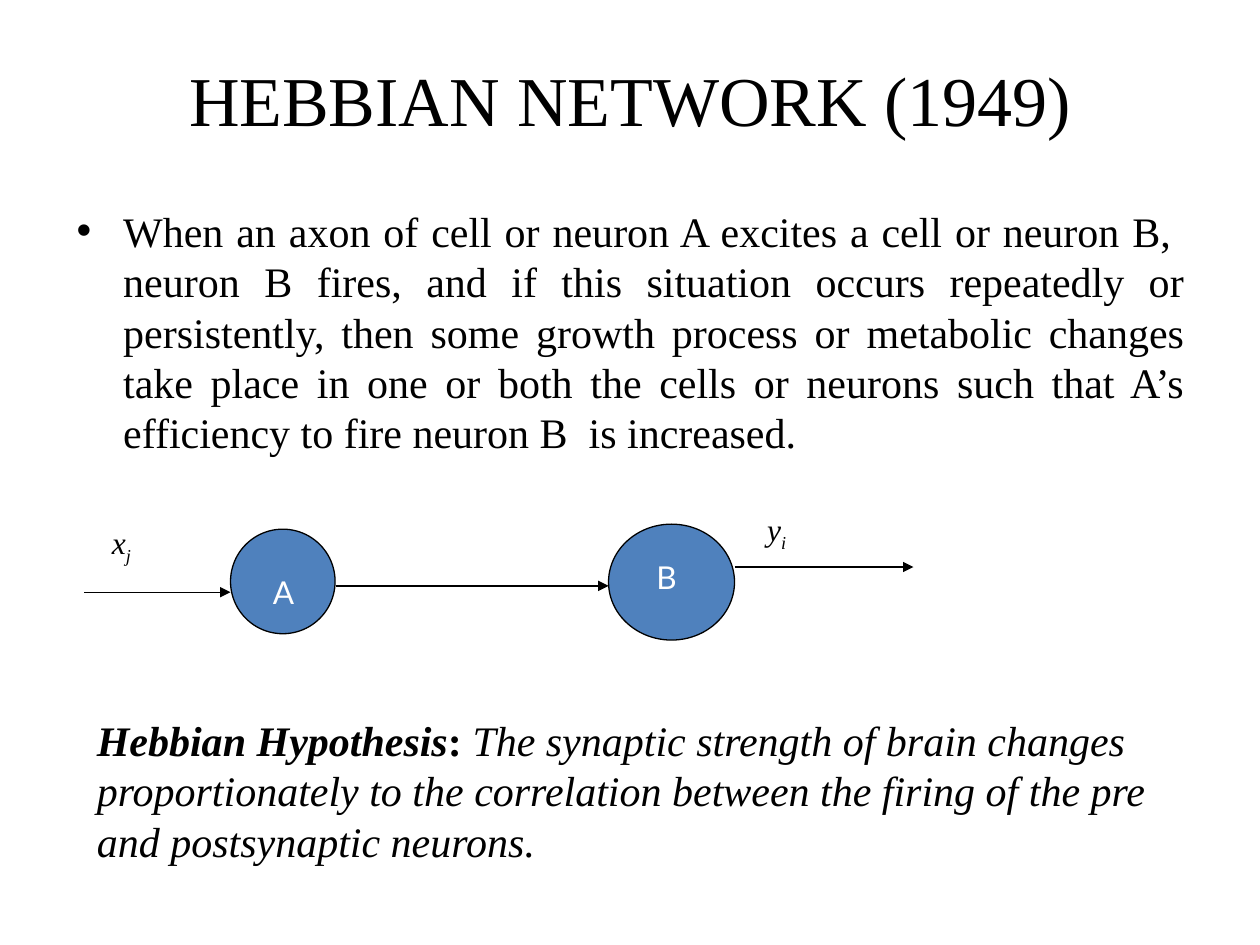
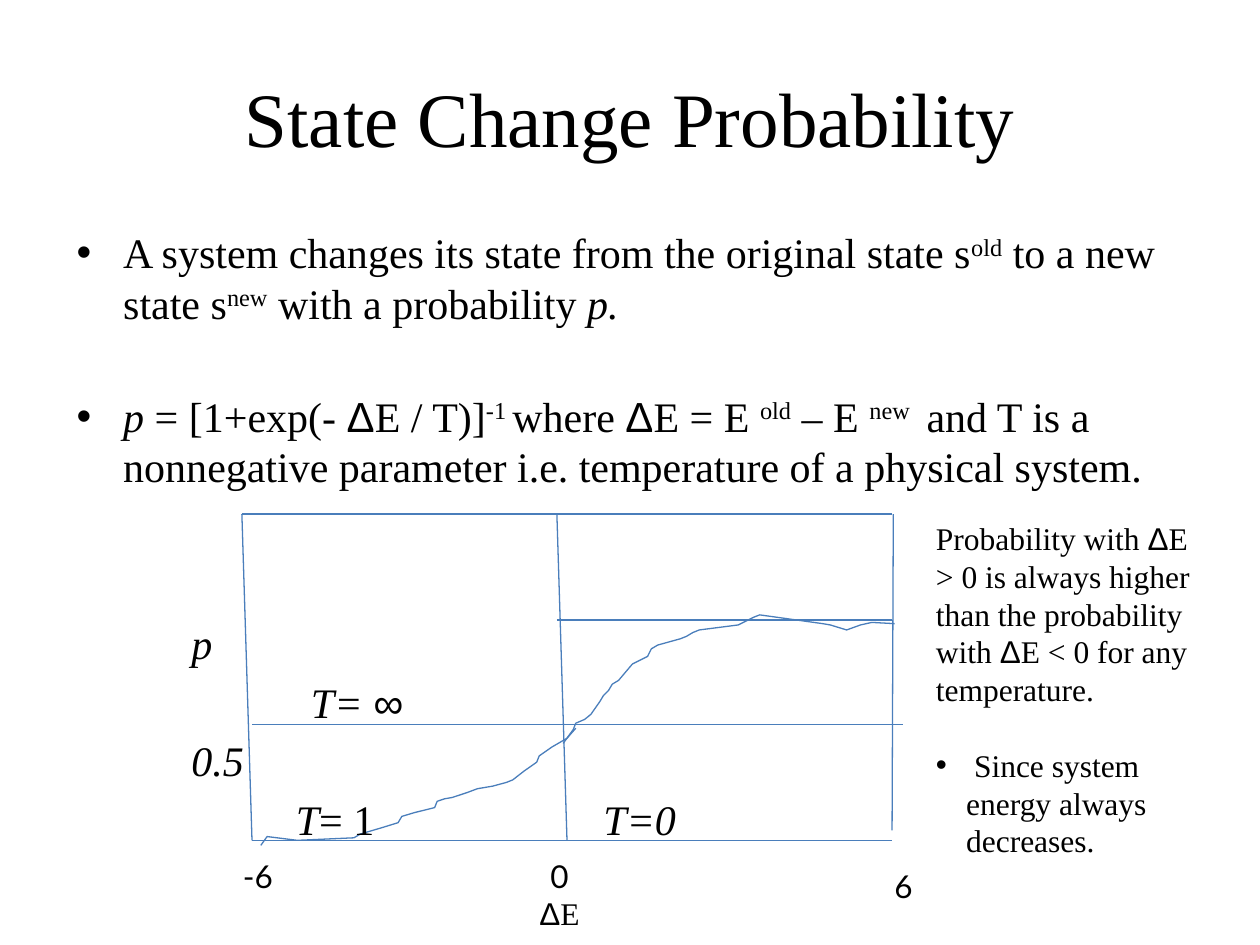
from lxml import etree
from pptx import Presentation
from pptx.dml.color import RGBColor
from pptx.enum.shapes import MSO_CONNECTOR, MSO_SHAPE
from pptx.enum.text import MSO_ANCHOR, MSO_AUTO_SIZE, PP_ALIGN
from pptx.oxml.ns import qn
from pptx.util import Pt

PX = 9144
TITLE_ONLY = 5
STRAIGHT = MSO_CONNECTOR.STRAIGHT
OVAL = MSO_SHAPE.OVAL
LEFT, CENTER, JUSTIFY = PP_ALIGN.LEFT, PP_ALIGN.CENTER, PP_ALIGN.JUSTIFY

COLORS = {"text": "000000", "neuron": "4F81BD", "graph": "4A7EBB", "white": "FFFFFF"}
SERIF, SANS, SYMBOL = "Times New Roman", "Lato", "Arial"
ITALIC = {"italic": True}
DELTA = ("Δ", {"name": SYMBOL})
BODY_BULLET = (38, -37)
SIDE_BULLET = (24, -24)

SIGMOID_LOWER = [
    (207, 671), (212, 664), (236, 667), (281, 665), (286, 662), (303, 657),
    (316, 653), (319, 648), (329, 645), (345, 641), (347, 636), (353, 634),
    (359, 633), (371, 629), (379, 626), (391, 624), (402, 621), (407, 619),
    (416, 612), (426, 605), (428, 600), (438, 593), (450, 586), (457, 578),
]
SIGMOID_UPPER = [
    (447, 590), (455, 579), (457, 574), (464, 571), (469, 567), (476, 557),
    (479, 552), (483, 548), (486, 543), (491, 540), (502, 527), (514, 521),
    (517, 515), (522, 512), (540, 507), (545, 505), (550, 502), (555, 500),
    (586, 496), (598, 490), (603, 488), (653, 495), (659, 496), (672, 500),
    (683, 496), (692, 494), (710, 495),
]


def color(name):
    return RGBColor.from_string(COLORS[name])


def px(*lengths):
    return [round(length * PX) for length in lengths]


def add_run(paragraph, text, size, name=SERIF, fill="text", baseline=0, **styles):
    run = paragraph.add_run()
    run.text = text
    for attribute, value in {"size": Pt(size), "name": name, **styles}.items():
        setattr(run.font, attribute, value)
    run.font.color.rgb = color(fill)
    if baseline:
        run.font._element.set("baseline", str(baseline * 1000))


def set_bullet(paragraph, margin, indent):
    properties = paragraph._p.get_or_add_pPr()
    properties.set("marL", str(margin * PX))
    properties.set("indent", str(indent * PX))
    etree.SubElement(properties, qn("a:buFont")).set("typeface", SYMBOL)
    etree.SubElement(properties, qn("a:buChar")).set("char", "•")


def fill_paragraph(paragraph, runs, size, align=LEFT, before=0, bullet=None, **base):
    for attribute, value in {"alignment": align, "space_before": Pt(before)}.items():
        setattr(paragraph, attribute, value)
    if bullet:
        set_bullet(paragraph, *bullet)
    for text, styles in runs:
        add_run(paragraph, text, size, **{**base, **styles})


def add_text(slide, box, paragraphs, size, **base):
    frame = slide.shapes.add_textbox(*px(*box)).text_frame
    frame.word_wrap = True
    for index, (runs, layout) in enumerate(paragraphs):
        paragraph = frame.add_paragraph() if index else frame.paragraphs[0]
        fill_paragraph(paragraph, runs, size, **{**base, **layout})


def add_label(slide, box, runs, size, **base):
    add_text(slide, box, [(runs, {})], size, **base)


def add_line(slide, start, end, stroke, arrow=False):
    line = slide.shapes.add_connector(STRAIGHT, *px(*start, *end))
    line.line.color.rgb = color(stroke)
    line.line.width = Pt(0.75)
    if arrow:
        etree.SubElement(line.line._get_or_add_ln(), qn("a:tailEnd")).set("type", "triangle")
    etree.SubElement(line._element.spPr, qn("a:effectLst"))


def add_titled_slide(presentation, text, box, size):
    slide = presentation.slides.add_slide(presentation.slide_layouts[TITLE_ONLY])
    title = slide.shapes.title
    for attribute, value in zip(("left", "top", "width", "height"), px(*box)):
        setattr(title, attribute, value)
    frame = title.text_frame
    formats = {"auto_size": MSO_AUTO_SIZE.NONE, "word_wrap": True,
               "vertical_anchor": MSO_ANCHOR.MIDDLE}
    for attribute, value in formats.items():
        setattr(frame, attribute, value)
    fill_paragraph(frame.paragraphs[0], [(text, {})], size, align=CENTER)
    return slide


def add_neuron(slide, box):
    neuron = slide.shapes.add_shape(OVAL, *px(*box))
    neuron.shadow.inherit = False
    neuron.fill.solid()
    neuron.fill.fore_color.rgb = color("neuron")
    neuron.line.color.rgb = color("text")
    neuron.line.width = Pt(0.75)


def add_neuron_chain(slide, left, top):
    for x, y, width, height in [(416, 16, 100, 92), (116, 20, 83, 83)]:
        add_neuron(slide, (left + x, top + y, width, height))
    for start, end, y in [(0, 116, 70), (200, 416, 65), (516, 658, 50)]:
        add_line(slide, (left + start, top + y), (left + end, top + y), "text", True)
    for text, x, y, width in [("A", 129, 50, 58), ("B", 441, 38, 42)]:
        add_label(slide, (left + x, top + y, width, 40), [(text, {})], 18,
                  align=CENTER, name=SANS, fill="white")
    for text, index, x, y, width in [("x", "j", 12, 10, 50), ("y", "i", 532, 0, 67)]:
        add_label(slide, (left + x, top + y, width, 44),
                  [(text, {}), (index, {"baseline": -25})], 18, italic=True)


def build_hebbian_slide(presentation):
    slide = add_titled_slide(presentation, "HEBBIAN NETWORK (1949)", (50, 34, 900, 88), 40)
    rule = ("When an axon of cell or neuron A excites a cell or neuron B,  neuron B fires, "
            "and if this situation occurs repeatedly or persistently, then some growth "
            "process or metabolic changes take place in one or both the cells or neurons "
            "such that A’s efficiency to fire neuron B  is increased.")
    add_label(slide, (50, 158, 900, 220), [(rule, {})], 24, align=JUSTIFY, bullet=BODY_BULLET)
    add_neuron_chain(slide, 67, 400)
    hypothesis = ("The synaptic strength of brain changes proportionately to the correlation "
                  "between the firing of the pre and postsynaptic neurons.")
    add_label(slide, (67, 562, 892, 140),
              [("Hebbian Hypothesis", {"bold": True, "italic": True}),
               (": ", {"bold": True}), (hypothesis, ITALIC)], 24)


def add_curve(slide, points, left, top):
    placed = [(left + x - 192, top + y - 408) for x, y in points]
    builder = slide.shapes.build_freeform(*placed[0], scale=PX)
    builder.add_line_segments(placed[1:], close=False)
    curve = builder.convert_to_shape()
    curve.shadow.inherit = False
    curve.fill.background()
    curve.line.color.rgb = color("graph")
    curve.line.width = Pt(0.75)


def add_probability_graph(slide, left, top):
    frame_lines = [
        (0, 0, 516, 0), (0, 0, 8, 259), (517, 0, 516, 251), (8, 259, 516, 259),
        (250, 0, 258, 259), (8, 167, 525, 167), (250, 84, 516, 84),
    ]
    for x1, y1, x2, y2 in frame_lines:
        add_line(slide, (left + x1, top + y1), (left + x2, top + y2), "graph")
    for points in (SIGMOID_UPPER, SIGMOID_LOWER):
        add_curve(slide, points, left, top)
    curve_labels = [
        (-50, 77, [("p", ITALIC)]),
        (45, 124, [("T= ", ITALIC), ("∞", {"name": SYMBOL, "italic": True})]),
        (-50, 170, [("0.5", ITALIC)]),
        (33, 217, [("T", ITALIC), ("= 1", {})]),
        (277, 217, [("T=0", ITALIC)]),
    ]
    for x, y, runs in curve_labels:
        add_label(slide, (left + x, top + y, 110, 50), runs, 24)
    for text, x, y in [("-6", -9, 267), ("6", 508, 275)]:
        add_label(slide, (left + x, top + y, 58, 40), [(text, {})], 18, name=SANS)
    add_text(slide, (left + 202, top + 267, 100, 70),
             [([("0", {"name": SANS})], {}), ([DELTA, ("E", {})], {})], 18, align=CENTER)


def build_state_change_slide(presentation):
    slide = add_titled_slide(presentation, "State Change Probability", (50, 30, 900, 125), 44)
    raised = {"baseline": 30}
    transition = [
        ("A system changes its state from the original state s", {}), ("old", raised),
        (" to a new state s", {}), ("new", raised),
        (" with a probability ", {}), ("p.", ITALIC),
    ]
    formula = [
        ("p ", ITALIC), ("= [1+exp(- ", {}), DELTA, ("E / T)]", {}), ("-1 ", raised),
        ("where ", {}), DELTA, ("E = E ", {}), ("old", raised), (" – E ", {}),
        ("new ", raised),
        (" and T is a nonnegative parameter i.e. temperature of a physical system.", {}),
    ]
    add_text(slide, (50, 175, 900, 225), [(transition, {}), (formula, {"before": 36})],
             24, bullet=BODY_BULLET)
    add_probability_graph(slide, 192, 408)
    comparison = [
        ("Probability with ", {}), DELTA,
        ("E > 0 is always higher than the probability with ", {}), DELTA,
        ("E < 0 for any temperature.", {}),
    ]
    reason = [(" Since system energy always decreases.", {})]
    add_text(slide, (733, 407, 233, 330),
             [(comparison, {}), (reason, {"before": 21.6, "bullet": SIDE_BULLET})], 18)


def main():
    presentation = Presentation()
    presentation.slide_width, presentation.slide_height = px(1000, 750)
    build_hebbian_slide(presentation)
    build_state_change_slide(presentation)
    presentation.save("out.pptx")


if __name__ == "__main__":
    main()
